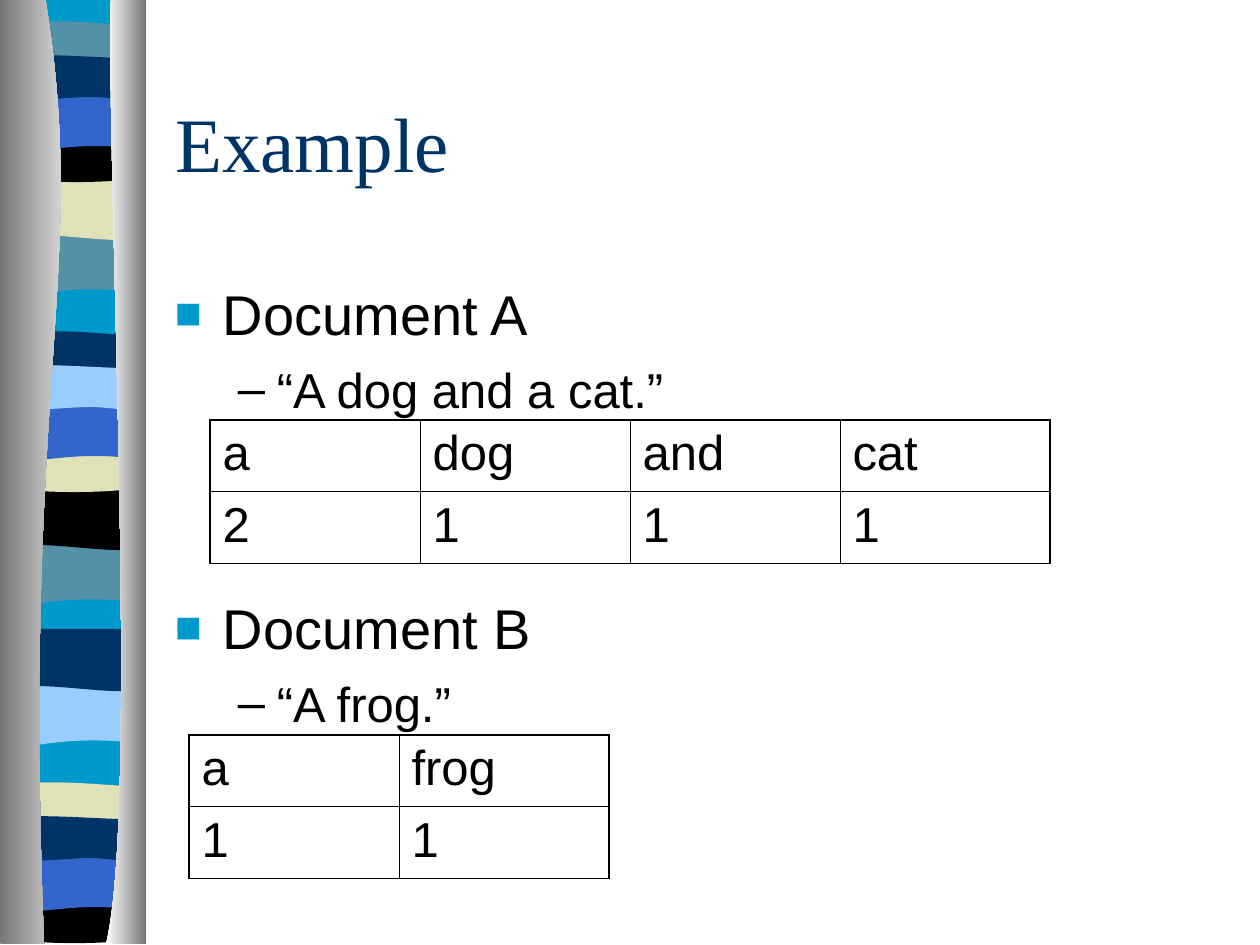
from pptx import Presentation
from pptx.dml.color import RGBColor
from pptx.enum.text import MSO_ANCHOR, PP_ALIGN
from pptx.oxml.ns import qn
from pptx.oxml.xmlchemy import OxmlElement
from pptx.util import Inches, Pt

COLORS = {
    "navy": "003366", "blue": "3366CC", "cyan": "0099CC", "sky": "99CCFF",
    "teal": "5490A8", "sand": "E1E1B7", "black": "000000",
    "dark gray": "767676", "mid gray": "D0D0D0", "white": "FFFFFF",
}
BANDS = {
    "ripple": [(1.14, 1.85), (1.14, 2.32),
               (0.39, 2.24, 0.24, 2.4, 0.06, 2.32), (0.06, 1.85)],
    "swell": [(1.14, 1.41), (1.14, 1.88),
              (0.96, 1.96, 0.39, 1.82, 0.06, 1.88), (0.06, 1.41)],
    "crest": [(1.14, 0.21), (1.14, 0.45),
              (0.96, 0.49, 0.24, 0.49, 0.06, 0.45), (0.06, 0.21),
              (0.12, 0.16, 0.29, 0.17, 0.47, 0.17),
              (0.65, 0.17, 1, 0.2, 1.14, 0.21)],
    "sag": [(1.14, 1.08), (1.14, 1.4),
            (0.96, 1.46, 0.24, 1.46, 0.06, 1.4), (0.06, 1.08),
            (0.72, 1.13, 0.91, 1.08, 1.14, 1.08)],
    "bulge": [(1.14, 0.74), (1.14, 1.21),
              (0.97, 1.16, 0.9, 1.16, 0.72, 1.16),
              (0.54, 1.16, 0.22, 1.21, 0.06, 1.21), (0.06, 0.74)],
    "dip": [(1.14, 0.46), (1.14, 0.77),
            (1.07, 0.82, 0.9, 0.77, 0.72, 0.77),
            (0.54, 0.77, 0.17, 0.82, 0.06, 0.77), (0.06, 0.46),
            (0.21, 0.41, 0.79, 0.46, 0.97, 0.46),
            (1.15, 0.46, 1.1, 0.46, 1.14, 0.46)],
}
BAND_GROUPS = [
    (0, 0, {"ripple": "teal", "swell": "sand", "crest": "teal",
            "sag": "black", "bulge": "blue", "dip": "navy"}),
    (-0.01, 2.46, {"ripple": "teal", "swell": "black", "crest": "navy",
                   "sag": "sand", "bulge": "blue", "dip": "sky"}),
    (0, 3.58, {"ripple": "sky", "swell": "navy"}),
    (-0.01, 6.04, {"crest": "sand", "sag": "black",
                   "bulge": "blue", "dip": "navy"}),
]
OUTER_LINE, INNER_LINE = 1.08, 0.45
COLUMN_WIDTH, ROW_HEIGHT = 5 / 3, 0.57


def rgb(name):
    return RGBColor.from_string(COLORS[name])


def add_outline(slide, steps, shift_x=0, shift_y=0):
    points = [(Inches(step[i] + shift_x), Inches(step[i + 1] + shift_y))
              for step in steps for i in range(0, len(step), 2)]
    builder = slide.shapes.build_freeform(*points[0], scale=1.0)
    builder.add_line_segments(points[1:], close=True)
    shape = builder.convert_to_shape()
    lines = iter(list(shape._element.iter(qn("a:lnTo"))))
    for step in steps[1:]:
        line = next(lines)
        if len(step) == 6:
            curve = OxmlElement("a:cubicBezTo")
            line.addprevious(curve)
            for part in (line, next(lines), next(lines)):
                curve.append(part[0])
                part.getparent().remove(part)
    shape.shadow.inherit = False
    shape.line.fill.background()
    return shape


def fill_solid(shape, color):
    shape.fill.solid()
    shape.fill.fore_color.rgb = rgb(color)


def add_bands(slide):
    backing = add_outline(slide, [(1.14, -0.01), (1.14, 7.47),
                                  (0.06, 7.47), (0.06, -0.01)])
    fill_solid(backing, "cyan")
    for shift_x, shift_y, colors in BAND_GROUPS:
        for name, color in colors.items():
            band = add_outline(slide, BANDS[name], shift_x, shift_y)
            fill_solid(band, color)


def add_pillar(slide, steps, start_color, end_color):
    pillar = add_outline(slide, steps)
    pillar.fill.gradient()
    pillar.fill.gradient_angle = 0
    for stop, color in zip(pillar.fill.gradient_stops, (start_color, end_color)):
        stop.color.rgb = rgb(color)


def write(para, text, size, color="black", font="Arial", before=None):
    span = para.add_run()
    span.text = text
    span.font.name = font
    span.font.size = Pt(size)
    span.font.color.rgb = rgb(color)
    para.alignment = PP_ALIGN.LEFT
    if before is not None:
        para.space_before = Pt(before)


def set_bullet(para, char, color, percent, margin, hanging):
    properties = para._p.get_or_add_pPr()
    properties.set("marL", str(Inches(margin)))
    properties.set("indent", str(-Inches(hanging)))
    tint = OxmlElement("a:buClr")
    value = OxmlElement("a:srgbClr")
    value.set("val", COLORS[color])
    tint.append(value)
    size = OxmlElement("a:buSzPct")
    size.set("val", str(percent * 1000))
    font = OxmlElement("a:buFont")
    font.set("typeface", "Arial")
    mark = OxmlElement("a:buChar")
    mark.set("char", char)
    for element in (tint, size, font, mark):
        properties.append(element)


def add_title(slide, text):
    title = slide.shapes.title
    title.left, title.top = Inches(1.29), Inches(0.5)
    title.width, title.height = Inches(8.5), Inches(1.25)
    title.text_frame.vertical_anchor = MSO_ANCHOR.MIDDLE
    write(title.text_frame.paragraphs[0], text, 44, "navy", "Times New Roman")


def add_documents(slide, documents):
    box = slide.shapes.add_textbox(Inches(1.29), Inches(2.17),
                                   Inches(8.5), Inches(4.5))
    frame = box.text_frame
    frame.word_wrap = True
    for index, (name, sentence) in enumerate(documents):
        heading = frame.add_paragraph() if index else frame.paragraphs[0]
        set_bullet(heading, "■", "cyan", 80, 0.38, 0.38)
        write(heading, name, 32, before=100.5 if index else None)
        quote = frame.add_paragraph()
        quote.level = 1
        set_bullet(quote, "–", "black", 100, 0.81, 0.31)
        write(quote, sentence, 28, before=7)


def set_border(cell, side, width):
    line = OxmlElement(f"a:ln{side}")
    line.set("w", str(Pt(width)))
    fill = OxmlElement("a:solidFill")
    color = OxmlElement("a:srgbClr")
    color.set("val", COLORS["black"])
    fill.append(color)
    line.append(fill)
    cell._tc.get_or_add_tcPr().append(line)


def add_count_table(slide, left, top, rows):
    row_count, column_count = len(rows), len(rows[0])
    table = slide.shapes.add_table(
        row_count, column_count, Inches(left), Inches(top),
        Inches(COLUMN_WIDTH * column_count), Inches(ROW_HEIGHT * row_count)).table
    table.first_row = table.horz_banding = False
    for column in table.columns:
        column.width = Inches(COLUMN_WIDTH)
    for r, values in enumerate(rows):
        for c, text in enumerate(values):
            cell = table.cell(r, c)
            write(cell.text_frame.paragraphs[0], text, 28)
            outer = {"L": c == 0, "R": c == column_count - 1,
                     "T": r == 0, "B": r == row_count - 1}
            for side, is_outer in outer.items():
                set_border(cell, side, OUTER_LINE if is_outer else INNER_LINE)
            cell.fill.background()


def main():
    deck = Presentation()
    deck.slide_width, deck.slide_height = Inches(10), Inches(7.5)
    slide = deck.slides.add_slide(deck.slide_layouts[5])
    add_bands(slide)
    add_pillar(slide, [(0.36, -0.01), (0.71, 2.16, 0.17, 2.96, 0.35, 7.49),
                       (0, 7.49), (0, -0.01)], "dark gray", "white")
    add_pillar(slide, [(0.88, -0.01), (0.84, 1.25, 1.11, 6.46, 0.84, 7.49),
                       (1.16, 7.49), (1.16, -0.01)], "white", "dark gray")
    add_title(slide, "Example")
    add_documents(slide, [("Document A", "“A dog and a cat.”"),
                          ("Document B", "“A frog.”")])
    add_count_table(slide, 5 / 3, 10 / 3, [["a", "dog", "and", "cat"],
                                           ["2", "1", "1", "1"]])
    add_count_table(slide, 1.5, 35 / 6, [["a", "frog"], ["1", "1"]])
    deck.save("out.pptx")


if __name__ == "__main__":
    main()
